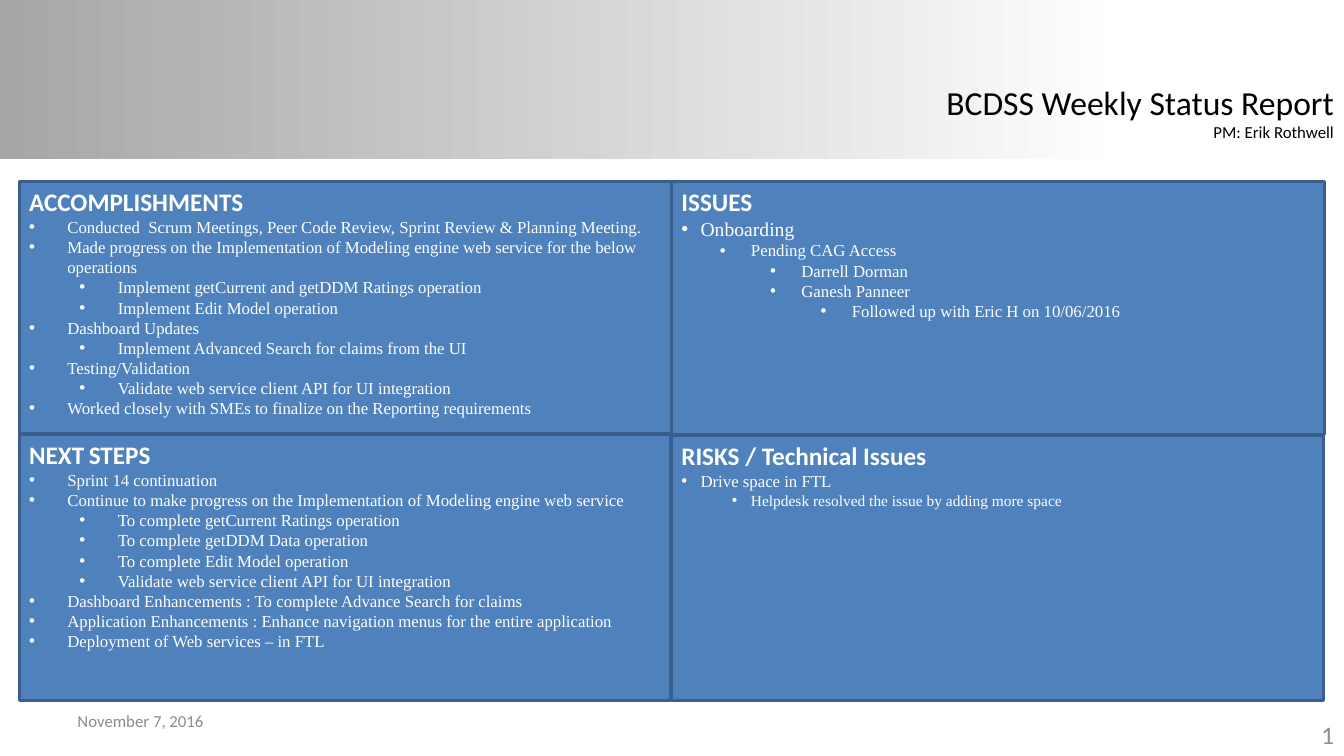
from dataclasses import dataclass

from lxml.etree import SubElement
from pptx import Presentation
from pptx.dml.color import RGBColor
from pptx.enum.shapes import MSO_SHAPE as SHAPE
from pptx.enum.text import MSO_ANCHOR as ANCHOR, PP_ALIGN as ALIGN
from pptx.oxml.ns import qn
from pptx.util import Inches, Pt


@dataclass(frozen=True)
class Theme:
    heading_font: str = "Calibri"
    body_font: str = "Times New Roman"
    black: str = "000000"
    white: str = "FFFFFF"
    band: str = "A6A6A6"
    panel: str = "4F81BD"
    border: str = "3A5F8C"
    muted: str = "8C8C8C"
    title: int = 24
    heading: int = 18
    lead: int = 14
    body: int = 12
    small: int = 11


class StatusSlide:
    LEVEL_STEP = 0.5

    def __init__(self, prs, theme):
        self.theme = theme
        self.slide = prs.slides.add_slide(prs.slide_layouts[6])

    def add_run(self, p, text, size, color, font=None, bold=False):
        r = p.add_run()
        r.text = text
        r.font.name = font or self.theme.heading_font
        r.font.size = Pt(size)
        r.font.bold = bold
        r.font.color.rgb = RGBColor.from_string(color)

    def rectangle(self, left, top, width, height):
        sp = self.slide.shapes.add_shape(
            SHAPE.RECTANGLE, Inches(left), Inches(top), Inches(width), Inches(height))
        sp.shadow.inherit = False
        return sp

    def header_band(self, left, top, width, height):
        sp = self.rectangle(left, top, width, height)
        sp.line.fill.background()
        sp.fill.gradient()
        sp.fill.gradient_angle = 0
        stops = ((0, self.theme.band), (0.84, self.theme.white))
        for stop, (position, color) in zip(sp.fill.gradient_stops, stops):
            stop.position = position
            stop.color.rgb = RGBColor.from_string(color)

    def text_box(self, left, top, width, height, lines, color,
                 align=ALIGN.LEFT, anchor=ANCHOR.TOP, wrap=True):
        box = self.slide.shapes.add_textbox(
            Inches(left), Inches(top), Inches(width), Inches(height))
        tf = box.text_frame
        tf.word_wrap = wrap
        tf.vertical_anchor = anchor
        for i, (text, size) in enumerate(lines):
            p = tf.add_paragraph() if i else tf.paragraphs[0]
            p.alignment = align
            self.add_run(p, text, size, color)

    def bullet(self, tf, level, text, size, margin, hang):
        p = tf.add_paragraph()
        p.alignment = ALIGN.LEFT
        p.level = level
        pPr = p._p.get_or_add_pPr()
        pPr.set("marL", str(Inches(margin + level * self.LEVEL_STEP)))
        pPr.set("indent", str(-Inches(hang)))
        SubElement(pPr, qn("a:buFont")).set("typeface", "Arial")
        SubElement(pPr, qn("a:buChar")).set("char", "•")
        self.add_run(p, text, size, self.theme.white, self.theme.body_font)

    def panel(self, left, top, width, height, heading, items, margin, hangs):
        """Items are (level, text, size); hangs gives the hanging indent by level."""
        sp = self.rectangle(left, top, width, height)
        sp.fill.solid()
        sp.fill.fore_color.rgb = RGBColor.from_string(self.theme.panel)
        sp.line.color.rgb = RGBColor.from_string(self.theme.border)
        sp.line.width = Pt(2)
        tf = sp.text_frame
        tf.word_wrap = True
        tf.vertical_anchor = ANCHOR.TOP
        p = tf.paragraphs[0]
        p.alignment = ALIGN.LEFT
        for text, size in heading:
            self.add_run(p, text, size, self.theme.white, bold=True)
        for level, text, size in items:
            self.bullet(tf, level, text, size, margin, hangs[min(level, 1)])


T = Theme()

ACCOMPLISHMENTS = [
    (0, "Conducted  Scrum Meetings, Peer Code Review, Sprint Review & Planning Meeting.", T.body),
    (0, "Made progress on the Implementation of Modeling engine web service "
        "for the below operations", T.body),
    (1, "Implement getCurrent and getDDM Ratings operation", T.body),
    (1, "Implement Edit Model operation", T.body),
    (0, "Dashboard Updates", T.body),
    (1, "Implement Advanced Search for claims from the UI", T.body),
    (0, "Testing/Validation", T.body),
    (1, "Validate web service client API for UI integration", T.body),
    (0, "Worked closely with SMEs to finalize on the Reporting requirements", T.body),
]
NEXT_STEPS = [
    (0, "Sprint 14 continuation", T.body),
    (0, "Continue to make progress on the Implementation of Modeling engine web service", T.body),
    (1, "To complete getCurrent Ratings operation", T.body),
    (1, "To complete getDDM Data operation", T.body),
    (1, "To complete Edit Model operation", T.body),
    (1, "Validate web service client API for UI integration", T.body),
    (0, "Dashboard Enhancements : To complete Advance Search for claims", T.body),
    (0, "Application Enhancements : Enhance navigation menus for the entire application", T.body),
    (0, "Deployment of Web services – in FTL", T.body),
]
ISSUES = [
    (0, "Onboarding", T.lead),
    (1, "Pending CAG Access", T.body),
    (2, "Darrell Dorman", T.body),
    (2, "Ganesh Panneer", T.body),
    (3, "Followed up with Eric H on 10/06/2016", T.body),
]
RISKS = [
    (0, "Drive space in FTL", T.body),
    (1, "Helpdesk resolved the issue by adding more space", T.small),
]


def main():
    prs = Presentation()
    prs.slide_width, prs.slide_height = Inches(13.33), Inches(7.5)
    s = StatusSlide(prs, T)

    # Header
    s.header_band(0, 0, 13.33, 1.58)
    s.text_box(9.25, 0.76, 4.08, 0.71,
               [("BCDSS Weekly Status Report", T.title), ("PM: Erik Rothwell", T.body)],
               T.black, ALIGN.RIGHT, wrap=False)

    # Four status panels
    left, right, top = 0.19, 6.66, 1.8
    s.panel(left, top, 6.47, 2.5, [("ACCOMPLISHMENTS", T.heading)],
            ACCOMPLISHMENTS, 0.38, (0.38, 0.38))
    s.panel(left, 4.31, 6.46, 2.64,
            [("NEXT", T.heading), (" ", T.lead), ("STEPS", T.heading)],
            NEXT_STEPS, 0.38, (0.38, 0.38))
    s.panel(right, top, 6.48, 2.51, [("ISSUES", T.heading)],
            ISSUES, 0.19, (0.19, 0.31))
    s.panel(right, 4.32, 6.47, 2.63, [("RISKS / Technical Issues", T.heading)],
            RISKS, 0.19, (0.19, 0.19))

    # Footer
    s.text_box(0.67, 6.95, 3.11, 0.4, [("November 7, 2016", T.body)],
               T.muted, anchor=ANCHOR.MIDDLE)
    s.text_box(10.22, 7.09, 3.11, 0.4, [("1", T.heading)],
               T.muted, ALIGN.RIGHT, ANCHOR.MIDDLE)

    prs.save("out.pptx")


if __name__ == "__main__":
    main()
